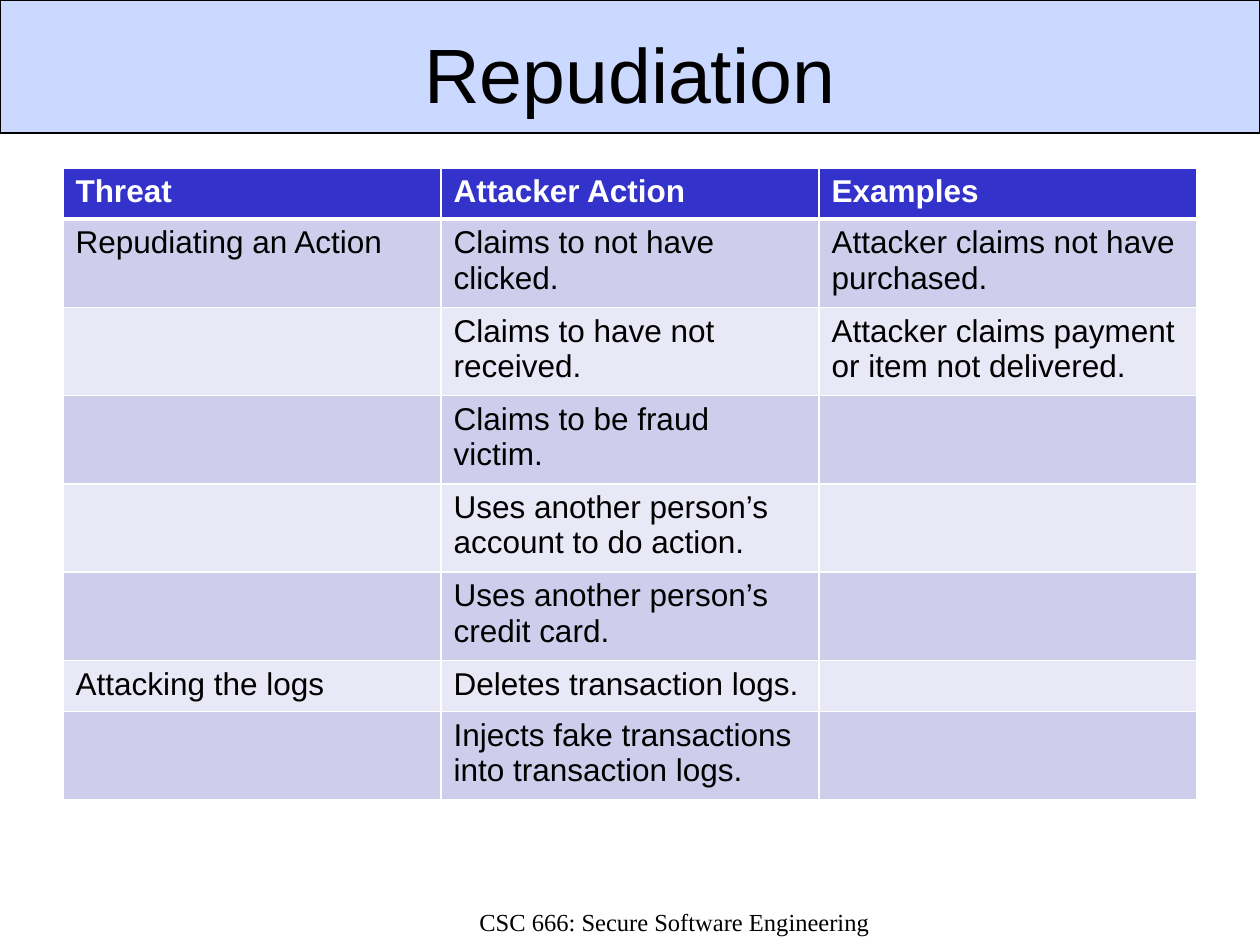
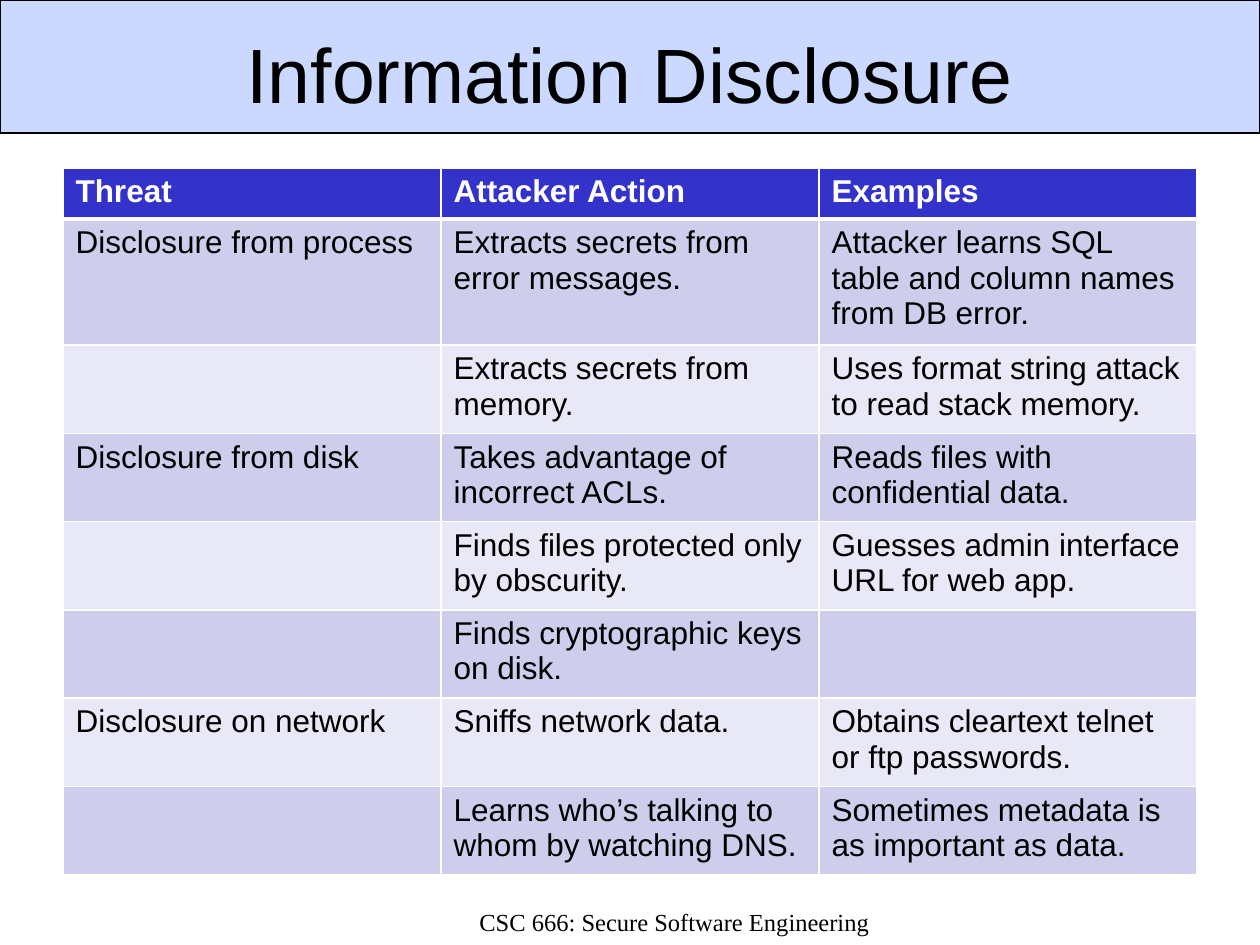
from dataclasses import dataclass

from lxml import etree
from pptx import Presentation
from pptx import util as u
from pptx.dml.color import RGBColor
from pptx.enum import shapes, text
from pptx.oxml import ns
from pptx.slide import Slide
from pptx.table import _Cell

PX_PER_INCH = 126
SLIDE_WIDTH, SLIDE_HEIGHT = 1260, 945
COLUMN_WIDTH, ROW_HEIGHT = 378, 51

BLACK = RGBColor(0x00, 0x00, 0x00)
WHITE = RGBColor(0xFF, 0xFF, 0xFF)
BAND_BLUE = RGBColor(0x33, 0x66, 0xFF)
HEADER_BLUE = RGBColor(0x33, 0x33, 0xCC)
ROW_FILLS = (RGBColor(0xCE, 0xCE, 0xEC), RGBColor(0xE8, 0xE8, 0xF6))
BAND_OPACITY = 25

HEADINGS = ("Threat", "Attacker Action", "Examples")
FOOTER = "CSC 666: Secure Software Engineering"


@dataclass(frozen=True)
class Box:
    left: int
    top: int
    width: int
    height: int

    def emu(self) -> tuple[u.Emu, ...]:
        return tuple(px(n) for n in (self.left, self.top, self.width, self.height))


@dataclass(frozen=True)
class TextStyle:
    font: str
    size: int
    color: RGBColor = BLACK
    bold: bool = False


@dataclass(frozen=True)
class ThreatSlide:
    title: str
    rows: tuple[tuple[str, str, str], ...]


BAND_BOX = Box(0, 0, SLIDE_WIDTH, 133)
TITLE_BOX = Box(63, 20, 1134, 105)
FOOTER_BOX = Box(466, 901, 417, 44)
TABLE_LEFT, TABLE_TOP = 63, 168

TITLE_STYLE = TextStyle("Arial", 44)
FOOTER_STYLE = TextStyle("Times New Roman", 14)
HEADER_STYLE = TextStyle("Arial", 18, WHITE, True)
BODY_STYLE = TextStyle("Arial", 18)

THREAT_SLIDES = (
    ThreatSlide("Repudiation", (
        ("Repudiating an Action", "Claims to not have clicked.",
         "Attacker claims not have purchased."),
        ("", "Claims to have not received.",
         "Attacker claims payment or item not delivered."),
        ("", "Claims to be fraud victim.", ""),
        ("", "Uses another person’s account to do action.", ""),
        ("", "Uses another person’s credit card.", ""),
        ("Attacking the logs", "Deletes transaction logs.", ""),
        ("", "Injects fake transactions into transaction logs.", ""),
    )),
    ThreatSlide("Information Disclosure", (
        ("Disclosure from process", "Extracts secrets from error messages.",
         "Attacker learns SQL table and column names from DB error."),
        ("", "Extracts secrets from memory.",
         "Uses format string attack to read stack memory."),
        ("Disclosure from disk", "Takes advantage of incorrect ACLs.",
         "Reads files with confidential data."),
        ("", "Finds files protected only by obscurity.",
         "Guesses admin interface URL for web app."),
        ("", "Finds cryptographic keys on disk.", ""),
        ("Disclosure on network", "Sniffs network data.",
         "Obtains cleartext telnet or ftp passwords."),
        ("", "Learns who’s talking to whom by watching DNS.",
         "Sometimes metadata is as important as data."),
    )),
)


def px(length: int) -> u.Emu:
    return u.Emu(round(length * u.Inches(1) / PX_PER_INCH))


def format_runs(paragraph: text, style: TextStyle) -> None:
    for run in paragraph.runs:
        run.font.name = style.font
        run.font.size = u.Pt(style.size)
        run.font.bold = style.bold
        run.font.color.rgb = style.color


def add_band(slide: Slide) -> None:
    band = slide.shapes.add_shape(shapes.MSO_SHAPE.RECTANGLE, *BAND_BOX.emu())
    band.shadow.inherit = False
    band.fill.solid()
    band.fill.fore_color.rgb = BAND_BLUE
    color = band.fill._xPr.find(".//" + ns.qn("a:srgbClr"))
    etree.SubElement(color, ns.qn("a:alpha"), val=str(BAND_OPACITY * 1000))
    band.line.color.rgb = BLACK
    band.line.width = u.Pt(0.75)


def add_centred_text(slide: Slide, content: str, box: Box, style: TextStyle,
                     anchor: text.MSO_ANCHOR) -> None:
    text_frame = slide.shapes.add_textbox(*box.emu()).text_frame
    text_frame.word_wrap = True
    text_frame.vertical_anchor = anchor
    text_frame.text = content
    paragraph = text_frame.paragraphs[0]
    paragraph.alignment = text.PP_ALIGN.CENTER
    format_runs(paragraph, style)


def add_borders(cell: _Cell, top: int, bottom: int) -> None:
    properties = cell._tc.get_or_add_tcPr()
    for side, points in (("L", 1), ("R", 1), ("T", top), ("B", bottom)):
        line = etree.SubElement(properties, ns.qn(f"a:ln{side}"), w=str(u.Pt(points)))
        fill = etree.SubElement(line, ns.qn("a:solidFill"))
        etree.SubElement(fill, ns.qn("a:srgbClr"), val=str(WHITE))


def add_threat_table(slide: Slide, rows: tuple[tuple[str, str, str], ...]) -> None:
    grid = (HEADINGS, *rows)
    box = Box(TABLE_LEFT, TABLE_TOP, COLUMN_WIDTH * len(HEADINGS), ROW_HEIGHT * len(grid))
    table = slide.shapes.add_table(len(grid), len(HEADINGS), *box.emu()).table
    for row_index, row in enumerate(grid):
        is_header = row_index == 0
        fill = HEADER_BLUE if is_header else ROW_FILLS[(row_index - 1) % 2]
        for column_index, content in enumerate(row):
            cell = table.cell(row_index, column_index)
            add_borders(cell, top=3 if row_index == 1 else 1, bottom=3 if is_header else 1)
            cell.fill.solid()
            cell.fill.fore_color.rgb = fill
            cell.text_frame.text = content
            format_runs(cell.text_frame.paragraphs[0],
                        HEADER_STYLE if is_header else BODY_STYLE)


def main() -> None:
    presentation = Presentation()
    presentation.slide_width = px(SLIDE_WIDTH)
    presentation.slide_height = px(SLIDE_HEIGHT)
    blank_layout = presentation.slide_layouts[6]
    for threat_slide in THREAT_SLIDES:
        slide = presentation.slides.add_slide(blank_layout)
        add_band(slide)
        add_centred_text(slide, threat_slide.title, TITLE_BOX, TITLE_STYLE,
                         text.MSO_ANCHOR.MIDDLE)
        add_threat_table(slide, threat_slide.rows)
        add_centred_text(slide, FOOTER, FOOTER_BOX, FOOTER_STYLE, text.MSO_ANCHOR.TOP)
    presentation.save("out.pptx")


if __name__ == "__main__":
    main()
